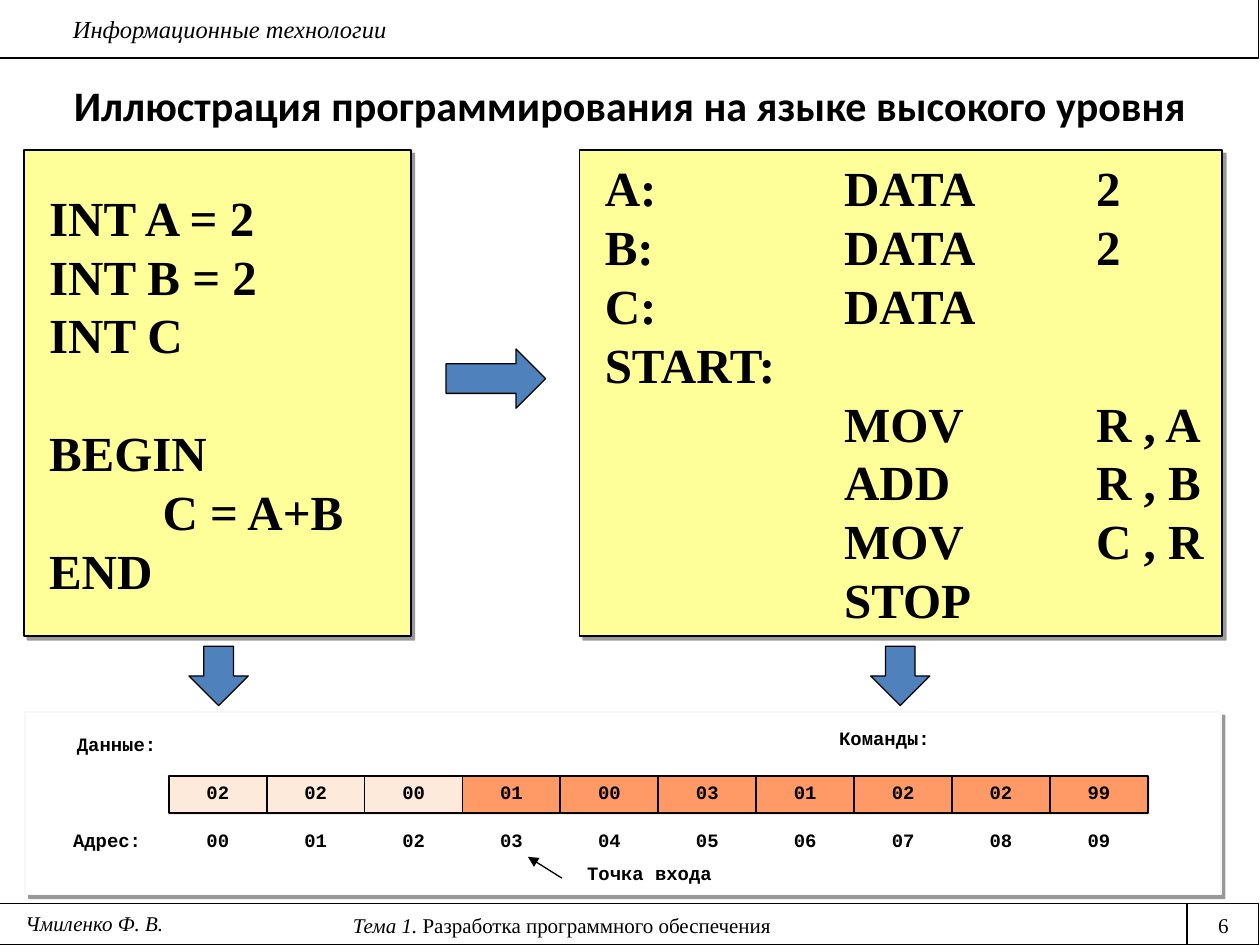
from lxml import etree
from pptx import Presentation
from pptx.dml.color import RGBColor
from pptx.enum.shapes import MSO_CONNECTOR, MSO_SHAPE as SHAPE
from pptx.enum.text import MSO_ANCHOR as ANCHOR, PP_ALIGN as ALIGN
from pptx.oxml.ns import qn
from pptx.util import Inches, Pt

SERIF, MONO = "Times New Roman", "Courier New"
LINE_PITCH = Pt(33.6)

HIGH_LEVEL = ["INT A = 2", "INT B = 2", "INT C", "BEGIN", "\tC = A+B", "END"]
ASSEMBLY = ["A:\tDATA\t2", "B:\tDATA\t2", "C:\tDATA", "START:",
            "\tMOV\tR , A", "\tADD\tR , B", "\tMOV\tC , R", "\tSTOP"]
DATA = ["02", "02", "00"]
COMMANDS = ["01", "00", "03", "01", "02", "02", "99"]


def rgb(value):
    return RGBColor.from_string(value)


def add_shadow(sp, color, alpha, dist):
    effects = sp._element.spPr.find(qn("a:effectLst"))
    shadow = etree.SubElement(effects, qn("a:outerShdw"), blurRad="0",
                              dist=str(Pt(dist)), dir="2700000",
                              algn="tl", rotWithShape="0")
    clr = etree.SubElement(shadow, qn("a:srgbClr"), val=color)
    etree.SubElement(clr, qn("a:alpha"), val=str(alpha * 1000))


def add_block(s, kind, box, fill, line="000000", width=1.0):
    sp = s.shapes.add_shape(kind, *map(Inches, box))
    sp.shadow.inherit = False
    sp.fill.solid()
    sp.fill.fore_color.rgb = rgb(fill)
    sp.line.color.rgb = rgb(line)
    sp.line.width = Pt(width)
    return sp


def add_line(s, start, end):
    line = s.shapes.add_connector(MSO_CONNECTOR.STRAIGHT,
                                  *map(Inches, start + end))
    line.line.color.rgb = rgb("000000")
    line.line.width = Pt(0.75)
    etree.SubElement(line._element.spPr, qn("a:effectLst"))
    return line


def style(p, size, name, bold=False, italic=False, align=ALIGN.LEFT):
    p.alignment = align
    font = p.font
    font.size, font.name = Pt(size), name
    font.bold, font.italic = bold, italic
    font.color.rgb = rgb("000000")


def add_text(s, box):
    tf = s.shapes.add_textbox(*map(Inches, box)).text_frame
    tf.word_wrap = True
    return tf


def write_mono(tf, text):
    tf.vertical_anchor = ANCHOR.MIDDLE
    p = tf.paragraphs[0]
    p.text = text
    p.line_spacing = 0.8
    style(p, 10.8, MONO, bold=True, align=ALIGN.CENTER)


def set_tabs(p, stops):
    tabs = etree.SubElement(p._p.get_or_add_pPr(), qn("a:tabLst"))
    for stop in stops:
        etree.SubElement(tabs, qn("a:tab"), pos=str(Inches(stop)), algn="l")


def add_header(s, box):
    x, y, w, h = box
    add_block(s, SHAPE.RECTANGLE, box, "FFFFFF", width=0.75)
    p = add_text(s, (x + 0.49, y + 0.07, w - 0.58, 0.34)).paragraphs[0]
    p.text = "Информационные технологии"
    style(p, 14, SERIF, italic=True)


def add_footer(s, box):
    x, y, w, h = box
    add_block(s, SHAPE.RECTANGLE, box, "FFFFFF", width=0.75)
    divider = x + 9.43
    add_line(s, (divider, y), (divider, y + h))

    # Author, topic and slide number
    cells = [(0, 0.01, 1.5, [("Чмиленко Ф. В.", True)]),
             (0, 0.02, 8.92, [("Тема 1. ", True),
                              ("Разработка программного обеспечения", False)]),
             (divider, 0.02, 0.58, [("6", False)])]
    for left, dy, width, runs in cells:
        p = add_text(s, (left, y + dy, width, 0.3)).paragraphs[0]
        style(p, 12, SERIF, align=ALIGN.CENTER)
        for text, italic in runs:
            r = p.add_run()
            r.text, r.font.italic = text, italic


def add_title(s, box):
    title = s.shapes.title
    title.left, title.top, title.width, title.height = map(Inches, box)
    tf = title.text_frame
    tf.text = "Иллюстрация программирования на языке высокого уровня"
    tf.vertical_anchor = ANCHOR.MIDDLE
    style(tf.paragraphs[0], 24, "Calibri", bold=True, align=ALIGN.CENTER)


def add_code(s, box, lines, stops, gap_before=None):
    sp = add_block(s, SHAPE.RECTANGLE, box, "FFFF99")
    add_shadow(sp, "000000", 40, 3)
    tf = sp.text_frame
    tf.word_wrap = True
    tf.vertical_anchor = ANCHOR.MIDDLE
    tf.margin_left = Inches(0.2)
    for i, text in enumerate(lines):
        p = tf.add_paragraph() if i else tf.paragraphs[0]
        p.text = text
        style(p, 28, SERIF, bold=True)
        p.line_spacing = LINE_PITCH
        if text == gap_before:
            p.space_before = LINE_PITCH
        set_tabs(p, stops)


def add_arrow(s, box, rotation=0):
    sp = add_block(s, SHAPE.RIGHT_ARROW, box, "4F81BD", width=0.75)
    sp.rotation = rotation


def add_memory(s, box):
    x, y, w, h = box
    panel = add_block(s, SHAPE.RECTANGLE, box, "FFFFFF", "F8F7F3")
    add_shadow(panel, "000000", 40, 3)

    # Memory cells with their addresses below
    row_x, cell_w, cell_h = x + 1.14, 7.77 / 10, 0.29
    for i, value in enumerate(DATA + COMMANDS):
        left = row_x + i * cell_w
        fill = "FDEADA" if i < len(DATA) else "FF9966"
        cell = add_block(s, SHAPE.RECTANGLE,
                         (left, y + 0.51, cell_w, cell_h), fill)
        add_shadow(cell, "EEECE1", 100, 1.4)
        write_mono(cell.text_frame, value)
        write_mono(add_text(s, (left, y + 0.89, cell_w, cell_h)), f"{i:02d}")

    # Captions
    for text, dx, dy, width in [("Адрес:", 0.16, 0.89, 0.98),
                                ("Данные:", 0.15, 0.13, 1.15),
                                ("Команды:", 6.03, 0.08, 1.58),
                                ("Точка входа", 4, 1.15, 1.91)]:
        write_mono(add_text(s, (x + dx, y + dy, width, cell_h)), text)

    # Entry point arrow
    pointer = add_line(s, (x + 4.26, y + 1.32), (x + 3.99, y + 1.15))
    etree.SubElement(pointer.line._get_or_add_ln(), qn("a:tailEnd"),
                     type="triangle")


def main():
    prs = Presentation()
    prs.slide_width, prs.slide_height = Inches(10), Inches(7.5)
    s = prs.slides.add_slide(prs.slide_layouts[5])

    add_memory(s, (0.2, 5.65, 9.49, 1.45))
    add_header(s, (-0.01, -0.01, 10, 0.47))
    add_footer(s, (-0.01, 7.17, 10, 0.33))
    add_title(s, (0, 0.58, 10, 0.5))
    add_code(s, (0.19, 1.19, 3.07, 3.86), HIGH_LEVEL, [0.9], "BEGIN")
    add_code(s, (4.6, 1.19, 5.1, 3.86), ASSEMBLY, [1.9, 3.9])

    # Translation steps
    add_arrow(s, (3.54, 2.77, 0.79, 0.47))
    for left in (1.5, 6.91):
        add_arrow(s, (left, 5.13, 0.47, 0.47), rotation=90)

    prs.save("out.pptx")


if __name__ == "__main__":
    main()
